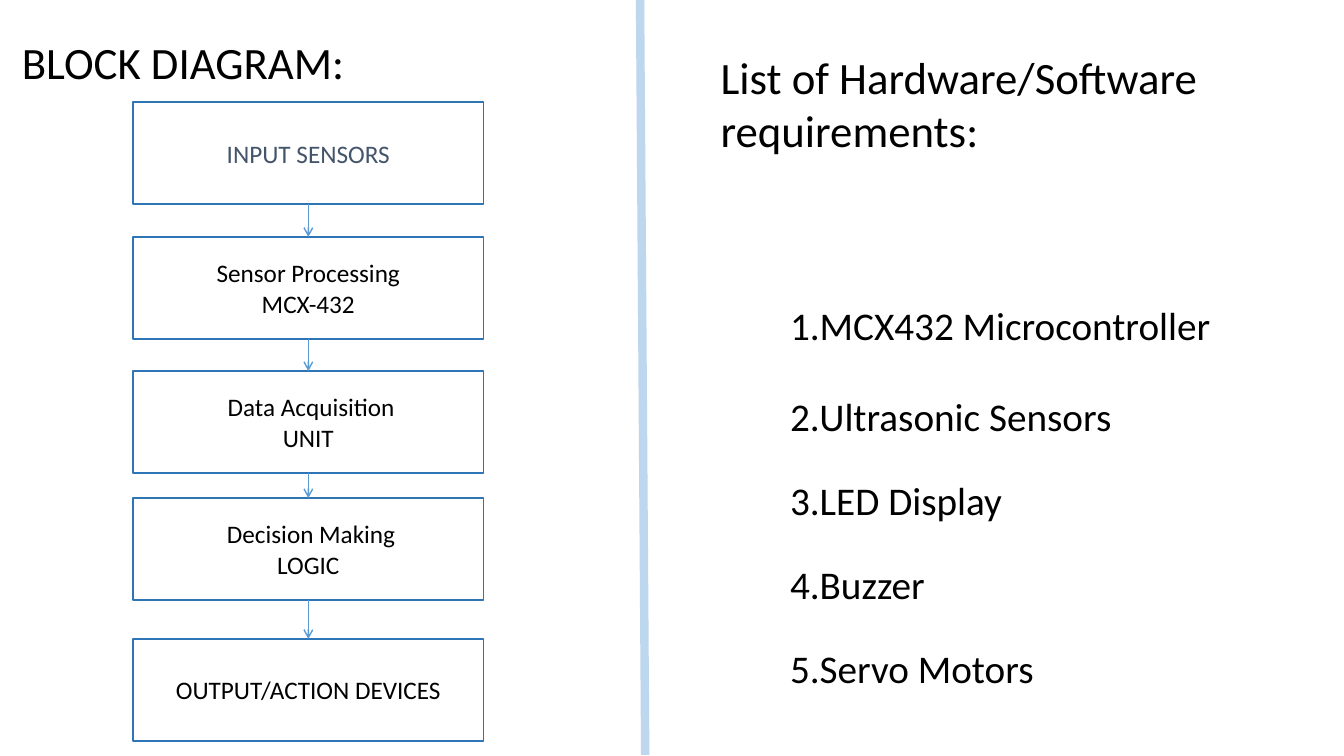
from dataclasses import dataclass

from lxml.etree import SubElement
from pptx import Presentation
from pptx.dml.color import RGBColor
from pptx.enum.shapes import MSO_CONNECTOR as Connector, MSO_SHAPE as Preset
from pptx.enum.text import MSO_ANCHOR as Anchor, MSO_AUTO_SIZE as AutoSize, PP_ALIGN as Align
from pptx.oxml.ns import qn
from pptx.shapes.autoshape import Shape
from pptx.shapes.connector import Connector as Line
from pptx.slide import Slide
from pptx.util import Cm, Pt

FONT = "Calibri"
COLORS = {
    "white": "FFFFFF",
    "black": "000000",
    "slate": "44546A",
    "border": "2E75B6",
    "arrow": "5B9BD5",
    "divider": "BDD7EE",
}
BOTTOM, TOP = 2, 0


@dataclass
class Block:
    top: float
    lines: list[str]
    color: str = "black"


@dataclass
class Label:
    text: str
    left: float
    top: float
    width: float
    height: float
    size: int


BLOCK_LEFT, BLOCK_WIDTH, BLOCK_HEIGHT = 3.35, 8.84, 2.57
BLOCKS = [
    Block(2.57, ["INPUT SENSORS"], "slate"),
    Block(5.97, ["Sensor Processing", "MCX-432"]),
    Block(9.35, [" Data Acquisition", "UNIT"]),
    Block(12.55, [" Decision Making", "LOGIC"]),
    Block(16.1, ["OUTPUT/ACTION DEVICES"]),
]

HEADINGS = [
    Label("BLOCK DIAGRAM:", 0.3, 0.74, 11.28, 1.63, 32),
    Label("List of Hardware/Software requirements:", 17.91, 1.12, 18.06, 4.01, 32),
]
PART_TOPS = [7.47, 9.75, 11.88, 14.0, 16.1]
PARTS = ["MCX432 Microcontroller", "Ultrasonic Sensors", "LED Display", "Buzzer", "Servo Motors"]
REQUIREMENTS = [
    Label(f"{number}.{part}", 19.66, top, 11.28, 1.45, 28)
    for number, (part, top) in enumerate(zip(PARTS, PART_TOPS), start=1)
]


def rgb(name: str) -> RGBColor:
    return RGBColor.from_string(COLORS[name])


def write_lines(shape: Shape, lines: list[str], size: int, color: str, align: Align) -> None:
    frame = shape.text_frame
    frame.word_wrap = True
    for index, line in enumerate(lines):
        paragraph = frame.add_paragraph() if index else frame.paragraphs[0]
        paragraph.alignment = align
        run = paragraph.add_run()
        run.text = line
        run.font.name = FONT
        run.font.size = Pt(size)
        run.font.color.rgb = rgb(color)


def add_block(slide: Slide, block: Block) -> Shape:
    box = slide.shapes.add_shape(
        Preset.RECTANGLE, Cm(BLOCK_LEFT), Cm(block.top), Cm(BLOCK_WIDTH), Cm(BLOCK_HEIGHT)
    )
    box.shadow.inherit = False
    box.fill.solid()
    box.fill.fore_color.rgb = rgb("white")
    box.line.color.rgb = rgb("border")
    box.line.width = Pt(1)
    box.text_frame.vertical_anchor = Anchor.MIDDLE
    write_lines(box, block.lines, 18, block.color, Align.CENTER)
    return box


def add_label(slide: Slide, label: Label) -> None:
    box = slide.shapes.add_textbox(
        Cm(label.left), Cm(label.top), Cm(label.width), Cm(label.height)
    )
    box.text_frame.auto_size = AutoSize.SHAPE_TO_FIT_TEXT
    write_lines(box, [label.text], label.size, "black", Align.LEFT)


def add_line(
    slide: Slide, start: tuple[float, float], end: tuple[float, float], color: str, width: float
) -> Line:
    line = slide.shapes.add_connector(
        Connector.STRAIGHT, Cm(start[0]), Cm(start[1]), Cm(end[0]), Cm(end[1])
    )
    line.line.color.rgb = rgb(color)
    line.line.width = Pt(width)
    SubElement(line._element.spPr, qn("a:effectLst"))
    return line


def add_arrow(slide: Slide, source: Shape, target: Shape) -> None:
    """Join the bottom of one block to the top of the next."""
    arrow = add_line(slide, (0, 0), (0, 0), "arrow", 1)
    arrow.begin_connect(source, BOTTOM)
    arrow.end_connect(target, TOP)
    SubElement(arrow.line._get_or_add_ln(), qn("a:tailEnd"), type="arrow")


def main() -> None:
    presentation = Presentation()
    presentation.slide_width = Cm(33.87)
    presentation.slide_height = Cm(19.05)
    slide = presentation.slides.add_slide(presentation.slide_layouts[6])

    boxes = [add_block(slide, block) for block in BLOCKS]
    for source, target in zip(boxes, boxes[1:]):
        add_arrow(slide, source, target)
    for label in HEADINGS + REQUIREMENTS:
        add_label(slide, label)
    add_line(slide, (16.13, 0), (16.26, 19.02), "divider", 6)

    presentation.save("out.pptx")


if __name__ == "__main__":
    main()
